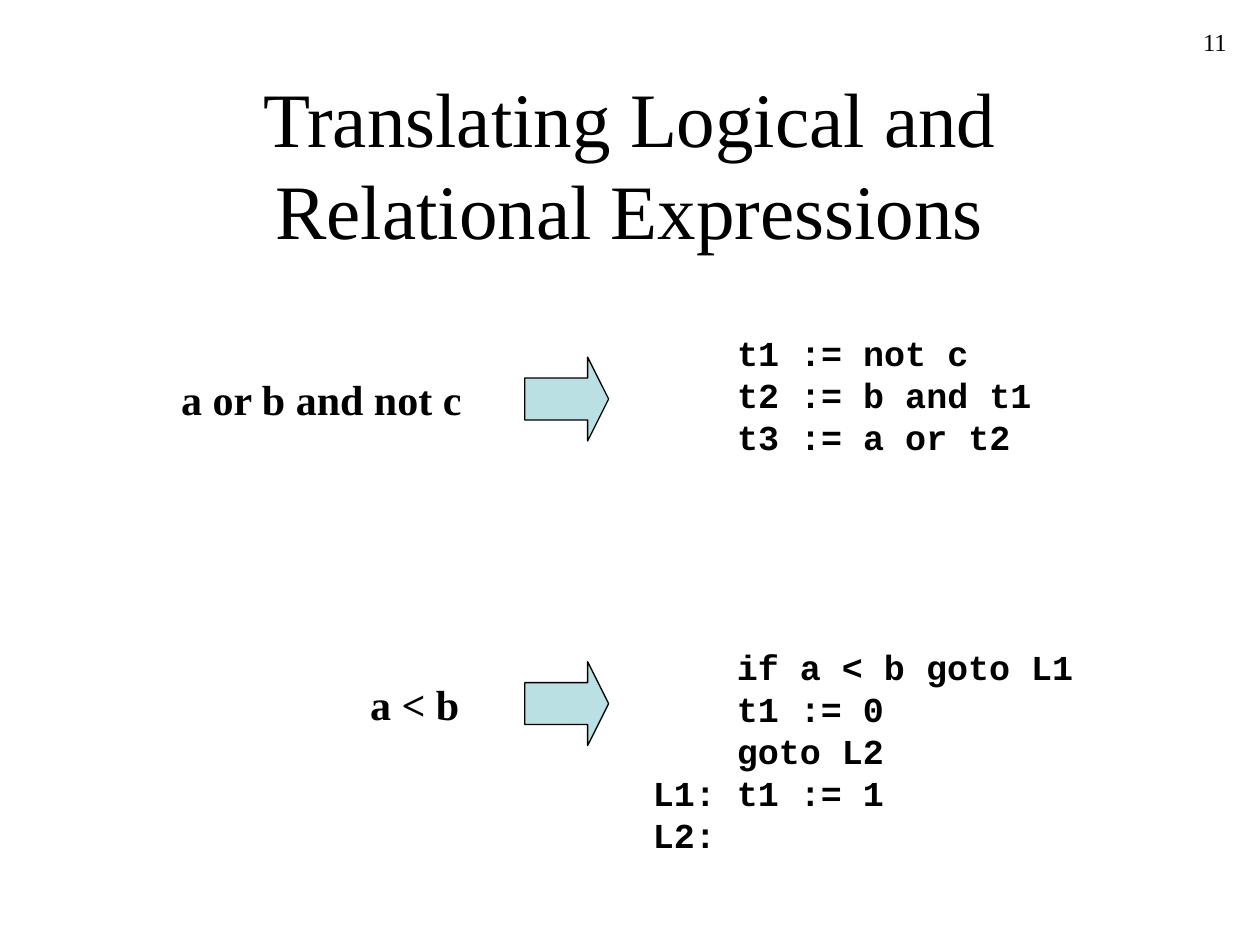
from pptx import Presentation
from pptx.dml.color import RGBColor
from pptx.enum.shapes import MSO_SHAPE
from pptx.enum.text import MSO_ANCHOR, MSO_AUTO_SIZE, PP_ALIGN
from pptx.util import Cm, Pt

SERIF = "Times New Roman"
MONO = "Courier New"
BLACK = "000000"
ARROW_FILL = "BBE0E3"
ARROW_LEFT = 10.58
ARROW_SIZE = 1.69

LOGICAL_CODE = """t1 := not c
t2 := b and t1
t3 := a or t2"""

RELATIONAL_CODE = """    if a < b goto L1
    t1 := 0
    goto L2
L1: t1 := 1
L2:"""


def color(hex_text):
    return RGBColor.from_string(hex_text)


class SlideBuilder:
    def __init__(self, deck):
        self.page = deck.slides.add_slide(deck.slide_layouts[5])

    def fill_text(self, frame, text, size, font=SERIF, bold=False, align=PP_ALIGN.LEFT):
        """Fill a frame with one paragraph; newlines become line breaks."""
        para = frame.paragraphs[0]
        para.text = text
        para.alignment = align
        for span in para.runs:
            span.font.name = font
            span.font.size = Pt(size)
            span.font.bold = bold
            span.font.color.rgb = color(BLACK)

    def title(self, text, left, top, width, height):
        box = self.page.shapes.title
        box.left, box.top, box.width, box.height = map(Cm, (left, top, width, height))
        frame = box.text_frame
        frame.auto_size = MSO_AUTO_SIZE.NONE
        frame.vertical_anchor = MSO_ANCHOR.MIDDLE
        self.fill_text(frame, text, 44, align=PP_ALIGN.CENTER)

    def page_number(self, text, left, top, width, height):
        box = self.page.shapes.add_textbox(*map(Cm, (left, top, width, height)))
        box.text_frame.word_wrap = True
        self.fill_text(box.text_frame, text, 14, align=PP_ALIGN.RIGHT)

    def label(self, text, left, top, width, height, size=24, font=SERIF):
        """Add a bold text box that fits its unwrapped text."""
        box = self.page.shapes.add_textbox(*map(Cm, (left, top, width, height)))
        box.text_frame.word_wrap = False
        box.text_frame.auto_size = MSO_AUTO_SIZE.SHAPE_TO_FIT_TEXT
        self.fill_text(box.text_frame, text, size, font, bold=True)

    def code(self, text, left, top, width, height):
        self.label(text, left, top, width, height, size=20, font=MONO)

    def arrow(self, top):
        shape = self.page.shapes.add_shape(
            MSO_SHAPE.RIGHT_ARROW, *map(Cm, (ARROW_LEFT, top, ARROW_SIZE, ARROW_SIZE)))
        shape.adjustments[0] = 0.5
        shape.adjustments[1] = 0.25
        shape.shadow.inherit = False
        shape.fill.solid()
        shape.fill.fore_color.rgb = color(ARROW_FILL)
        shape.line.color.rgb = color(BLACK)
        shape.line.width = Pt(0.75)


def main():
    deck = Presentation()
    deck.slide_width, deck.slide_height = Cm(25.4), Cm(19.05)
    slide = SlideBuilder(deck)

    slide.page_number("11", 19.69, 0.42, 5.29, 1.27)
    slide.title("Translating Logical and Relational Expressions", 1.9, 1.69, 21.59, 3.18)

    slide.label("a or b and not c", 3.4, 7.41, 6.17, 1.27)
    slide.arrow(7.2)
    slide.code(LOGICAL_CODE, 14.61, 6.56, 6.45, 2.79)

    slide.label("a < b", 7.21, 13.55, 2.31, 1.27)
    slide.arrow(13.34)
    slide.code(RELATIONAL_CODE, 12.91, 12.88, 8.99, 4.5)

    deck.save("out.pptx")


if __name__ == "__main__":
    main()
